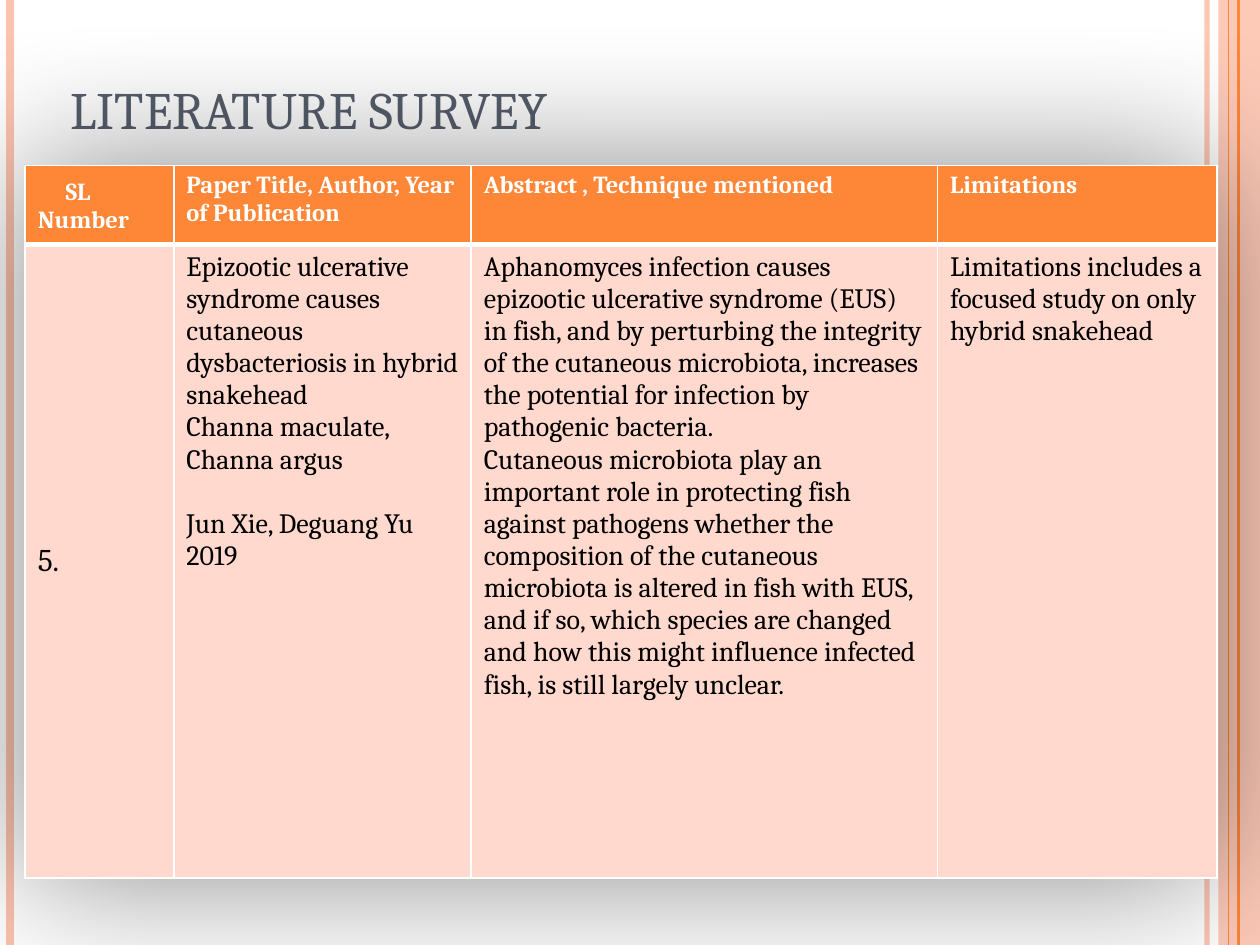
import dataclasses

import lxml.etree
import pptx
import pptx.dml.color
import pptx.enum.shapes
import pptx.enum.text
import pptx.oxml.ns
import pptx.util


@dataclasses.dataclass(frozen=True)
class Theme:
    font: str = "Cambria"
    accent: str = "FE8637"
    stripe: str = "FEC3AE"
    body_fill: str = "FFD9CE"
    heading: str = "575F6D"
    light: str = "FFFFFF"
    dark: str = "000000"
    title_size: int = 30
    number_size: int = 18
    body_size: int = 16
    header_size: int = 14
    thin_border: int = 1
    thick_border: int = 3


@dataclasses.dataclass(frozen=True)
class CellContent:
    text: str
    size: int
    anchor: pptx.enum.text.MSO_ANCHOR = pptx.enum.text.MSO_ANCHOR.TOP
    margin_top: float = 0.05
    first_indent: float = 0
    last_gap: float = 0


@dataclasses.dataclass(frozen=True)
class RowStyle:
    fill: str
    text_color: str
    bold: bool
    bottom_border: int


def color(value):
    return pptx.dml.color.RGBColor.from_string(value)


def add_xml(parent, tag, **attributes):
    element = lxml.etree.SubElement(parent, pptx.oxml.ns.qn(tag))
    for name, value in attributes.items():
        element.set(name, str(value))
    return element


def set_alpha(properties, percent):
    for color_element in properties.iter(pptx.oxml.ns.qn("a:srgbClr")):
        add_xml(color_element, "a:alpha", val=percent * 1000)


def write_text(frame, text, *, font, size, text_color, bold=False,
               first_indent=0, last_gap=0):
    frame.word_wrap = True
    frame.text = text
    for paragraph in frame.paragraphs:
        paragraph.alignment = pptx.enum.text.PP_ALIGN.LEFT
        for run in paragraph.runs:
            run.font.name = font
            run.font.size = pptx.util.Pt(size)
            run.font.bold = bold
            run.font.color.rgb = color(text_color)
    if first_indent:
        properties = frame.paragraphs[0]._p.get_or_add_pPr()
        properties.set("marL", str(pptx.util.Inches(first_indent)))
    if last_gap:
        frame.paragraphs[-1].space_before = pptx.util.Pt(last_gap)


class SlideBuilder:
    def __init__(self, presentation, theme):
        self.theme = theme
        self.width = presentation.slide_width
        self.height = presentation.slide_height
        self.slide = presentation.slides.add_slide(presentation.slide_layouts[5])
        self.slide.background.fill.solid()
        self.slide.background.fill.fore_color.rgb = color(theme.light)

    def box(self, left, top, width, height):
        return (int(left * self.width), int(top * self.height),
                int(width * self.width), int(height * self.height))

    def vertical_line(self, x, line_color, weight, alpha=100):
        left = int(x * self.width)
        connector = self.slide.shapes.add_connector(
            pptx.enum.shapes.MSO_CONNECTOR.STRAIGHT, left, 0, left, self.height)
        connector.line.color.rgb = color(line_color)
        connector.line.width = pptx.util.Pt(weight)
        add_xml(connector._element.spPr, "a:effectLst")
        set_alpha(connector._element.spPr, alpha)

    def band(self, box, fill, alpha):
        shape = self.slide.shapes.add_shape(
            pptx.enum.shapes.MSO_SHAPE.RECTANGLE, *self.box(*box))
        shape.shadow.inherit = False
        shape.fill.solid()
        shape.fill.fore_color.rgb = color(fill)
        shape.line.fill.background()
        set_alpha(shape._element.spPr, alpha)

    def title(self, text, box):
        title = self.slide.shapes.title
        title.left, title.top, title.width, title.height = self.box(*box)
        title.text_frame.vertical_anchor = pptx.enum.text.MSO_ANCHOR.BOTTOM
        write_text(title.text_frame, text, font=self.theme.font,
                   size=self.theme.title_size, text_color=self.theme.heading)

    def table(self, left, top, column_shares, row_shares, rows):
        frame = self.slide.shapes.add_table(
            len(row_shares), len(column_shares),
            *self.box(left, top, sum(column_shares), sum(row_shares)))
        table = frame.table
        for column, share in zip(table.columns, column_shares):
            column.width = int(share * self.width)
        for row, share, (style, contents) in zip(table.rows, row_shares, rows):
            row.height = int(share * self.height)
            for cell, content in zip(row.cells, contents):
                self.cell(cell, content, style)
        self.table_shadow(table)

    def cell(self, cell, content, style):
        cell.vertical_anchor = content.anchor
        cell.margin_top = pptx.util.Inches(content.margin_top)
        write_text(cell.text_frame, content.text, font=self.theme.font,
                   size=content.size, text_color=style.text_color, bold=style.bold,
                   first_indent=content.first_indent, last_gap=content.last_gap)
        borders = dict.fromkeys("LRT", self.theme.thin_border)
        borders["B"] = style.bottom_border
        properties = cell._tc.get_or_add_tcPr()
        for side, weight in borders.items():
            border = add_xml(properties, f"a:ln{side}", w=pptx.util.Pt(weight))
            add_xml(add_xml(border, "a:solidFill"), "a:srgbClr", val=self.theme.light)
        cell.fill.solid()
        cell.fill.fore_color.rgb = color(style.fill)

    def table_shadow(self, table):
        properties = table._tbl.tblPr
        effects = add_xml(properties, "a:effectLst")
        properties.insert(0, effects)
        shadow = add_xml(effects, "a:outerShdw", blurRad=pptx.util.Inches(1.2),
                         dist=0, dir=0, algn="ctr", rotWithShape=0)
        add_xml(shadow, "a:srgbClr", val=self.theme.dark)
        set_alpha(shadow, 45)


def survey_rows(theme):
    header_style = RowStyle(theme.accent, theme.light, True, theme.thick_border)
    body_style = RowStyle(theme.body_fill, theme.dark, False, theme.thin_border)
    header = [
        CellContent("SL\nNumber", theme.header_size, margin_top=0.1, first_indent=0.22),
        CellContent("Paper Title, Author, Year of Publication", theme.header_size),
        CellContent("Abstract , Technique mentioned", theme.header_size),
        CellContent("Limitations", theme.header_size),
    ]
    paper = ("Epizootic ulcerative syndrome causes cutaneous dysbacteriosis in hybrid "
             "snakehead\nChanna maculate, Channa argus\nJun Xie, Deguang Yu 2019")
    abstract = (
        "Aphanomyces infection causes epizootic ulcerative syndrome (EUS) in fish, and "
        "by perturbing the integrity of the cutaneous microbiota, increases the "
        "potential for infection by pathogenic bacteria.\n"
        "Cutaneous microbiota play an important role in protecting fish against "
        "pathogens whether the composition of the cutaneous microbiota is altered in "
        "fish with EUS, and if so, which species are changed and how this might "
        "influence infected fish, is still largely unclear.")
    limitations = "Limitations includes a focused study on only hybrid snakehead"
    body = [
        CellContent("5.", theme.number_size, anchor=pptx.enum.text.MSO_ANCHOR.MIDDLE),
        CellContent(paper, theme.body_size, last_gap=18.4),
        CellContent(abstract, theme.body_size),
        CellContent(limitations, theme.body_size),
    ]
    return [(header_style, header), (body_style, body)]


def main():
    presentation = pptx.Presentation()
    presentation.slide_width = pptx.util.Inches(10)
    presentation.slide_height = pptx.util.Inches(7.5)
    theme = Theme()
    builder = SlideBuilder(presentation, theme)
    builder.band((0.967, 0, 0.033, 1), theme.stripe, alpha=87)
    for x, line_color, weight, alpha in (
            (0.008, theme.stripe, 4.5, 100), (0.958, theme.stripe, 3, 93),
            (0.975, theme.accent, 1.5 / 2, 100), (0.983, theme.accent, 1.5, 100)):
        builder.vertical_line(x, line_color, weight, alpha)
    builder.title("LITERATURE SURVEY", (0.046, 0.028, 0.82, 0.127))
    builder.table(left=0.02, top=0.175, column_shares=(0.118, 0.236, 0.37, 0.222),
                  row_shares=(0.084, 0.67), rows=survey_rows(theme))
    presentation.save("out.pptx")


if __name__ == "__main__":
    main()
